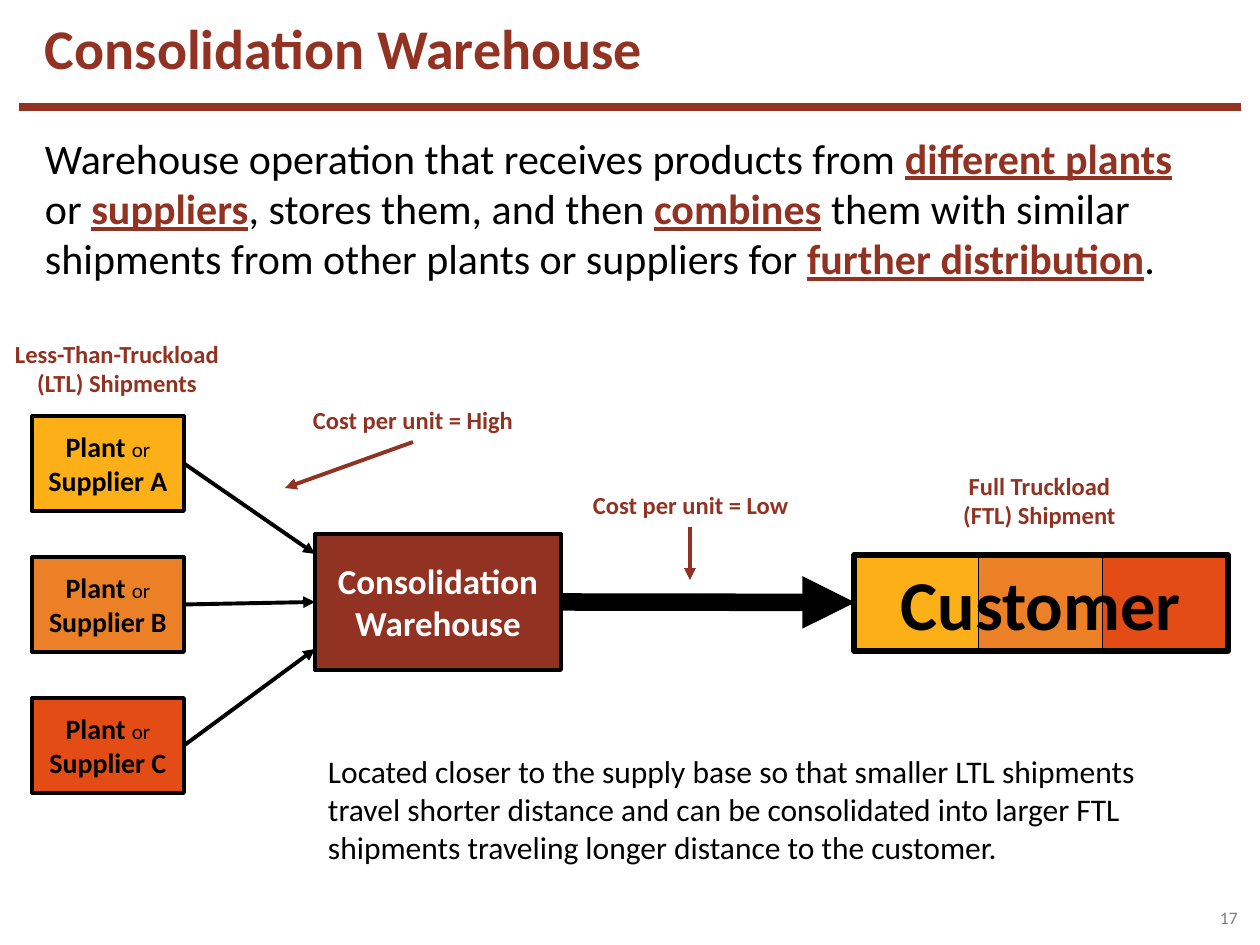
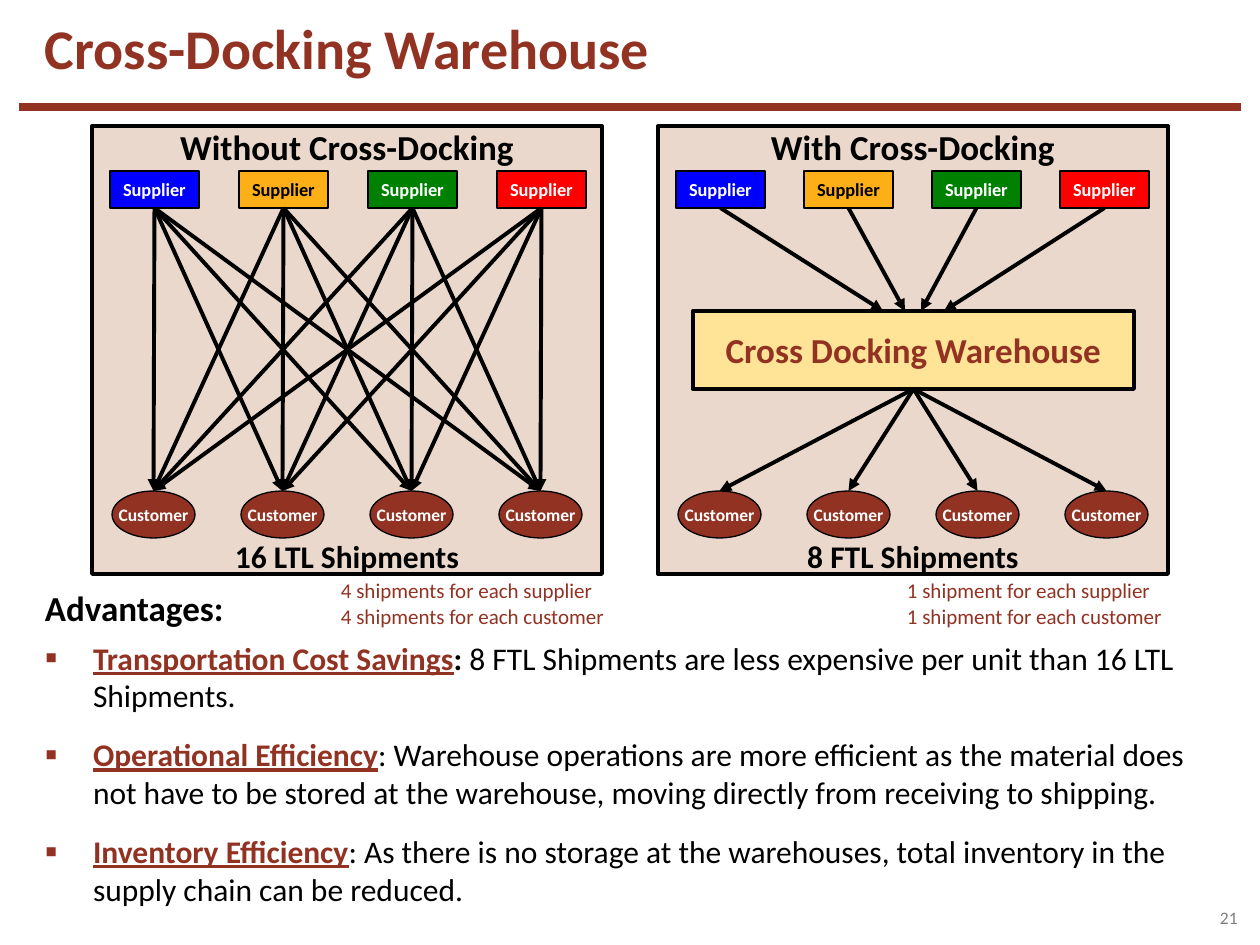
from lxml import etree
from pptx import Presentation
from pptx.dml.color import RGBColor
from pptx.enum.shapes import MSO_CONNECTOR, MSO_SHAPE
from pptx.enum.text import MSO_ANCHOR, MSO_AUTO_SIZE, PP_ALIGN
from pptx.oxml.ns import qn
from pptx.util import Emu, Pt

RECTANGLE, OVAL = MSO_SHAPE.RECTANGLE, MSO_SHAPE.OVAL
STRAIGHT = MSO_CONNECTOR.STRAIGHT
LEFT, CENTER = PP_ALIGN.LEFT, PP_ALIGN.CENTER
TOP, MIDDLE = MSO_ANCHOR.TOP, MSO_ANCHOR.MIDDLE
FIXED_SIZE = MSO_AUTO_SIZE.NONE
SIDE_TOP, SIDE_LEFT, SIDE_BOTTOM, SIDE_RIGHT = range(4)

EMU_PER_PX = 914400 / 126
FONT = "Calibri"
RUST, BLACK, WHITE, GRAY = "923222", "000000", "FFFFFF", "7F7F7F"
AMBER, ORANGE, FLAME = "FCAF17", "EC8026", "E44C16"
BLUE, GREEN, RED = "0000FF", "008000", "FF0000"
BEIGE, CREAM = "E9D8CB", "FFE497"
TEXT_MARGINS = (13, 6, 13, 6)
CAPTION_MARGINS = (13, 0, 13, 6)
NO_MARGINS = (0, 0, 0, 0)
KEYWORD = {"bold": True, "underline": True, "color": RUST}


def px(length):
    return Emu(round(length * EMU_PER_PX))


def rgb(color):
    return RGBColor.from_string(color)


def key(text):
    return text, KEYWORD


class SlideBuilder:
    def __init__(self, deck):
        self.deck = deck
        self.page = None

    def start(self, title, number):
        self.page = self.deck.slides.add_slide(self.deck.slide_layouts[1])
        self.arrow((19, 107), (1241, 107), RUST, 4.5, head=False)
        box = self.page.shapes.title
        self.place(box, (32, 19, 1197, 68))
        self.set_text(box, [title], 32, RUST, bold=True, anchor=MIDDLE, wrap=True)
        box.text_frame.paragraphs[0].line_spacing = 0.8
        self.text((1220, 906, 26, 24), [number], 10, GRAY, anchor=MIDDLE,
                  margins=NO_MARGINS, wrap=True)

    def place(self, box, area):
        box.left, box.top, box.width, box.height = map(px, area)

    def style_font(self, font, size=None, color=None, bold=None, underline=None):
        if size:
            font.size = Pt(size)
        if color:
            font.color.rgb = rgb(color)
        if bold is not None:
            font.bold = bold
        if underline is not None:
            font.underline = underline

    def set_text(self, box, lines, size, color=BLACK, bold=False, align=LEFT,
                 anchor=TOP, margins=TEXT_MARGINS, wrap=False):
        frame = box.text_frame
        frame.auto_size = FIXED_SIZE
        frame.word_wrap = wrap
        frame.vertical_anchor = anchor
        (frame.margin_left, frame.margin_top,
         frame.margin_right, frame.margin_bottom) = map(px, margins)
        for index, line in enumerate(lines):
            para = frame.add_paragraph() if index else frame.paragraphs[0]
            para.alignment = align
            para.space_before = Pt(0)
            para.font.name = FONT
            self.style_font(para.font, size, color, bold)
            for part in [line] if isinstance(line, str) else line:
                text, changes = (part, {}) if isinstance(part, str) else part
                span = para.add_run()
                span.text = text
                self.style_font(span.font, **changes)

    def text(self, area, lines, size, color=BLACK, **options):
        box = self.page.shapes.add_textbox(*map(px, area))
        self.set_text(box, lines, size, color, **options)

    def body(self, area, heading, items, size):
        box = self.page.placeholders[1]
        self.place(box, area)
        frame = box.text_frame
        self.set_text(box, heading + items, size, wrap=True)
        for index, para in enumerate(frame.paragraphs):
            listed = index >= len(heading)
            self.bullet(para, listed)
            if listed:
                para.space_before = para.space_after = Pt(6)
        return frame

    def bullet(self, para, listed):
        properties = para._p.get_or_add_pPr()
        indent = px(48) if listed else 0
        properties.set("marL", str(indent))
        properties.set("indent", str(-indent))
        marks = [etree.Element(qn("a:buNone"))]
        if listed:
            tint = etree.Element(qn("a:buClr"))
            etree.SubElement(tint, qn("a:srgbClr"), val=RUST)
            marks = [tint,
                     etree.Element(qn("a:buSzPct"), val="115000"),
                     etree.Element(qn("a:buFont"), typeface="Arial"),
                     etree.Element(qn("a:buChar"), char="▪")]
        defaults = properties.find(qn("a:defRPr"))
        for mark in marks:
            defaults.addprevious(mark)

    def shape(self, kind, area, fill, line_width, lines=(), size=16, color=BLACK):
        box = self.page.shapes.add_shape(kind, *map(px, area))
        box.shadow.inherit = False
        if fill:
            box.fill.solid()
            box.fill.fore_color.rgb = rgb(fill)
        else:
            box.fill.background()
        box.line.color.rgb = rgb(BLACK)
        box.line.width = Pt(line_width)
        if lines:
            self.set_text(box, lines, size, color, bold=True, align=CENTER,
                          anchor=MIDDLE, margins=NO_MARGINS)
        return box

    def arrow(self, start, end, color=BLACK, width=2.25, head=True):
        joined_start = not isinstance(start[0], int)
        joined_end = not isinstance(end[0], int)
        begin = (0, 0) if joined_start else start
        finish = (0, 0) if joined_end else end
        line = self.page.shapes.add_connector(STRAIGHT, *map(px, begin + finish))
        if joined_start:
            line.begin_connect(*start)
        if joined_end:
            line.end_connect(*end)
        line.line.color.rgb = rgb(color)
        line.line.width = Pt(width)
        properties = line._element.spPr
        if head:
            etree.SubElement(properties.find(qn("a:ln")), qn("a:tailEnd"), type="triangle")
        etree.SubElement(properties, qn("a:effectLst"))


def consolidation_slide(slide):
    slide.start("Consolidation Warehouse", "17")
    slide.body((32, 126, 1197, 165), [[
        "Warehouse operation that receives products from ", key("different plants "),
        "or ", key("suppliers"), ", stores them, and then ", key("combines"),
        " them with similar shipments from other plants or suppliers for ",
        key("further distribution"), "."]], [], 24)

    warehouse = slide.shape(RECTANGLE, (315, 534, 246, 136), RUST, 2.25,
                            ["Consolidation", "Warehouse"], 20, WHITE)
    colors = (AMBER, ORANGE, FLAME)
    arrivals = ((315, 554), (warehouse, SIDE_LEFT), (315, 649))
    for index, (letter, color, arrival) in enumerate(zip("ABC", colors, arrivals)):
        plant = slide.shape(
            RECTANGLE, (32, 416 + 141 * index, 152, 95), color, 2.25,
            [["Plant ", ("or", {"size": 12, "bold": False})], f"Supplier {letter}"])
        slide.arrow((plant, SIDE_RIGHT), arrival)

    loads = [slide.shape(RECTANGLE, (855 + 124 * index, 555, 124, 95), color, 0.5)
             for index, color in enumerate(colors)]
    slide.arrow((warehouse, SIDE_RIGHT), (loads[0], SIDE_LEFT), width=10)
    slide.text((886, 554, 309, 97), ["Customer"], 40, bold=True, align=CENTER)
    slide.shape(RECTANGLE, (854, 555, 374, 96), None, 3)

    labels = (
        ((0, 333, 234, 72), ["Less-Than-Truckload", "(LTL) Shipments"], CENTER),
        ((950, 465, 179, 72), ["Full Truckload", "(FTL) Shipment"], CENTER),
        ((300, 399, 227, 43), ["Cost per unit = High"], LEFT),
        ((580, 484, 222, 43), ["Cost per unit = Low"], LEFT),
    )
    for area, lines, align in labels:
        slide.text(area, lines, 14, RUST, bold=True, align=align)
    slide.arrow((413, 442), (285, 488), RUST)
    slide.arrow((690, 527), (690, 580), RUST)
    slide.text((315, 746, 839, 127), [
        "Located closer to the supply base so that smaller LTL shipments travel shorter "
        "distance and can be consolidated into larger FTL shipments traveling longer "
        "distance to the customer."], 18, wrap=True)


def docking_panel(slide, left, title, total, notes, supplier_step):
    slide.shape(RECTANGLE, (left, 126, 510, 448), BEIGE, 2.25)
    for top, height, caption, size in ((126, 49, title, 20), (537, 44, total, 18)):
        slide.text((left, top, 510, height), [caption], size, bold=True,
                   align=CENTER, margins=CAPTION_MARGINS)
    suppliers = [
        slide.shape(RECTANGLE, (left + 18 + supplier_step * index, 171, 89, 37),
                    color, 0.75, ["Supplier"], 10.5, BLACK if color == AMBER else WHITE)
        for index, color in enumerate((BLUE, AMBER, GREEN, RED))]
    customers = [
        slide.shape(OVAL, (left + 20 + 129 * index, 491, 83, 47),
                    RUST, 0.75, ["Customer"], 10, WHITE)
        for index in range(4)]
    slide.text((left + 236, 572, 291, 63), notes, 12, RUST)
    return suppliers, customers


def cross_docking_slide(slide):
    slide.start("Cross-Docking Warehouse", "21")
    advantages = slide.body((32, 580, 1197, 348), ["Advantages:"], [
        [key("Transportation Cost Savings"), (":", {"bold": True}),
         " 8 FTL Shipments are less expensive per unit than 16 LTL Shipments."],
        [key("Operational Efficiency"),
         ": Warehouse operations are more efficient as the material does not have to be "
         "stored at the warehouse, moving directly from receiving to shipping."],
        [key("Inventory Efficiency"),
         ": As there is no storage at the warehouses, total inventory in the supply chain "
         "can be reduced."]], 18)
    slide.style_font(advantages.paragraphs[0].font, size=20, bold=True)

    suppliers, customers = docking_panel(
        slide, 92, "Without Cross-Docking", "16 LTL Shipments",
        ["4 shipments for each supplier", "4 shipments for each customer"], 129)
    for supplier in suppliers:
        for customer in customers:
            slide.arrow((supplier, SIDE_BOTTOM), (customer, SIDE_TOP))

    suppliers, customers = docking_panel(
        slide, 658, "With Cross-Docking", "8 FTL Shipments",
        ["1 shipment for each supplier", "1 shipment for each customer"], 128)
    warehouse = slide.shape(RECTANGLE, (693, 311, 441, 78), CREAM, 2.25,
                            ["Cross Docking Warehouse"], 20, RUST)
    for supplier, arrival in zip(suppliers, (883, 905, 921, 944)):
        slide.arrow((supplier, SIDE_BOTTOM), (arrival, 311))
    for customer in customers:
        slide.arrow((warehouse, SIDE_BOTTOM), (customer, SIDE_TOP))


def main():
    deck = Presentation()
    deck.slide_width, deck.slide_height = px(1260), px(945)
    slide = SlideBuilder(deck)
    consolidation_slide(slide)
    cross_docking_slide(slide)
    deck.save("out.pptx")


if __name__ == "__main__":
    main()
